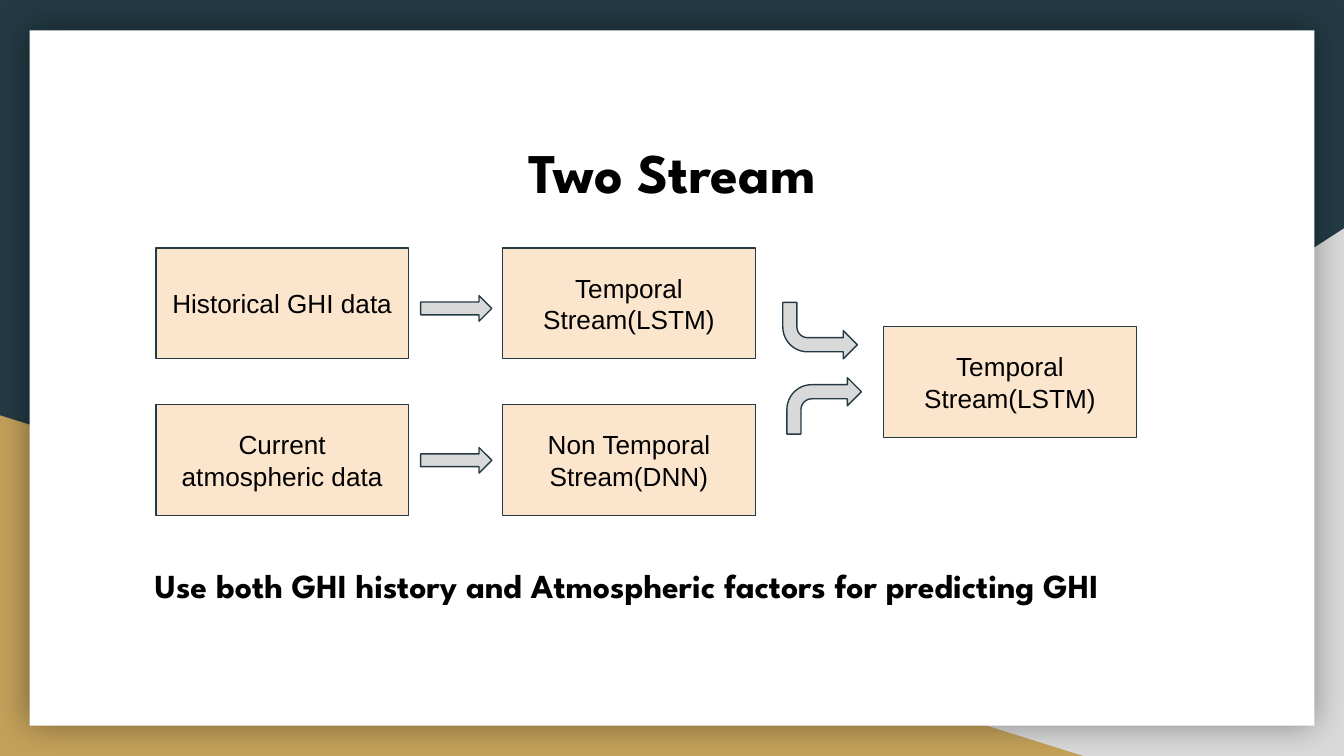
from dataclasses import dataclass
from lxml.etree import SubElement
from pptx import Presentation
from pptx.dml.color import RGBColor
from pptx.enum.shapes import MSO_SHAPE
from pptx.enum.text import MSO_ANCHOR, MSO_AUTO_SIZE, PP_ALIGN
from pptx.oxml.ns import qn
from pptx.util import Pt

PX = 4572


@dataclass(frozen=True)
class Theme:
    """Hold the colours, fonts and type sizes."""
    navy: str = "233A44"
    gold: str = "C4A15A"
    grey: str = "D9D9D9"
    peach: str = "FCE5CD"
    white: str = "FFFFFF"
    black: str = "000000"
    head: str = "League Spartan"
    body: str = "Arial"
    title: int = 30
    note: int = 18
    label: int = 14
    line: float = 0.75


THEME = Theme()


def write(shape, text, *, size, font=THEME.body, bold=False, anchor=MSO_ANCHOR.MIDDLE):
    """Put centred, formatted text into a shape."""
    frame = shape.text_frame
    frame.text = text
    frame.word_wrap = True
    frame.auto_size = MSO_AUTO_SIZE.NONE
    frame.vertical_anchor = anchor
    frame.margin_left = frame.margin_right = 20 * PX
    frame.margin_top = frame.margin_bottom = 20 * PX
    para = frame.paragraphs[0]
    para.alignment = PP_ALIGN.CENTER
    para.space_before = Pt(0)
    face = para.runs[0].font
    face.name, face.size, face.bold = font, Pt(size), bold
    face.color.rgb = RGBColor.from_string(THEME.black)


def draw(slide, kind, box, fill, line=None, flip=False):
    """Add a filled preset shape, outlined or mirrored if asked."""
    shape = slide.shapes.add_shape(kind, *(n * PX for n in box))
    shape.shadow.inherit = False
    shape.fill.solid()
    shape.fill.fore_color.rgb = RGBColor.from_string(fill)
    if line:
        shape.line.color.rgb = RGBColor.from_string(line)
        shape.line.width = Pt(THEME.line)
    else:
        shape.line.fill.background()
    if flip:
        shape._element.spPr.find(qn("a:xfrm")).set("flipH", "1")
    return shape


def glow(shape):
    """Give a shape a soft, centred black shadow."""
    effects = shape._element.spPr.find(qn("a:effectLst"))
    shade = SubElement(effects, qn("a:outerShdw"), blurRad=str(Pt(18)), dist="0",
                       algn="ctr", rotWithShape="0")
    tint = SubElement(shade, qn("a:srgbClr"), val=THEME.black)
    SubElement(tint, qn("a:alpha"), val="40000")


def backdrop(slide):
    """Draw the coloured corners and the white card."""
    fill = slide.background.fill
    fill.solid()
    fill.fore_color.rgb = RGBColor.from_string(THEME.navy)
    draw(slide, MSO_SHAPE.RIGHT_TRIANGLE, (784, 340, 1216, 785), THEME.grey, flip=True)
    draw(slide, MSO_SHAPE.RIGHT_TRIANGLE, (0, 618, 1612, 507), THEME.gold)
    glow(draw(slide, MSO_SHAPE.RECTANGLE, (44, 45, 1912, 1035), THEME.white))


def heading(slide, index, text, left, top, size):
    """Move a placeholder to the front and write a heading in it."""
    shape = slide.placeholders[index]
    shape.left, shape.top, shape.width, shape.height = (
        n * PX for n in (left, top, 1642, 208))
    write(shape, text, size=size, font=THEME.head, bold=True, anchor=MSO_ANCHOR.TOP)
    slide.shapes._spTree.append(shape._element)


def block(slide, text, left, top):
    """Draw one labelled box of the flow."""
    shape = draw(slide, MSO_SHAPE.RECTANGLE, (left, top, 376, 165), THEME.peach, THEME.navy)
    write(shape, text, size=THEME.label)


def arrow(slide, top):
    """Draw a straight arrow between the two columns."""
    draw(slide, MSO_SHAPE.RIGHT_ARROW, (626, top, 106, 38), THEME.grey, THEME.navy)


def bend(slide, left, top, down=False):
    """Draw a bent arrow that leads to the merged box."""
    shape = draw(slide, MSO_SHAPE.BENT_ARROW, (left, top, 111, 84),
                 THEME.grey, THEME.navy, flip=down)
    shape.adjustments[3] = 0.44
    if down:
        shape.rotation = 180


def main():
    """Build and save the slide."""
    deck = Presentation()
    deck.slide_width, deck.slide_height = 2000 * PX, 1125 * PX
    slide = deck.slides.add_slide(deck.slide_layouts[0])
    backdrop(slide)
    heading(slide, 0, "Two Stream", 179, 184, THEME.title)
    rows = [
        (369, 440, "Historical GHI data", "Temporal Stream(LSTM)"),
        (602, 666, "Current atmospheric data", "Non Temporal Stream(DNN)"),
    ]
    for top, mid, source, stream in rows:
        block(slide, source, 232, top)
        arrow(slide, mid)
        block(slide, stream, 748, top)
    block(slide, "Temporal Stream(LSTM)", 1315, 486)
    bend(slide, 1171, 562)
    bend(slide, 1165, 450, down=True)
    heading(slide, 1, "Use both GHI history and Atmospheric factors for predicting GHI",
            112, 820, THEME.note)
    deck.save("out.pptx")


if __name__ == "__main__":
    main()
